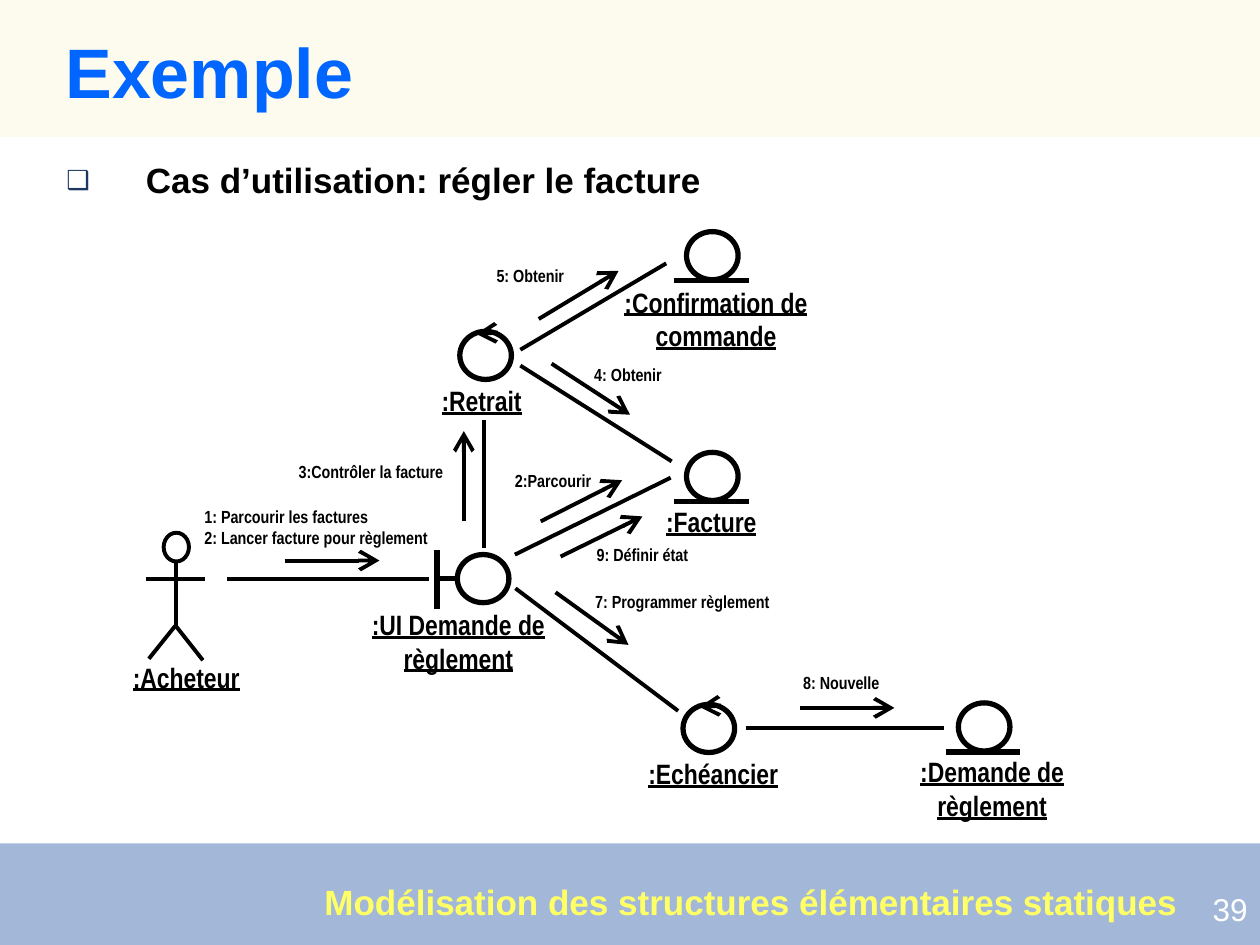
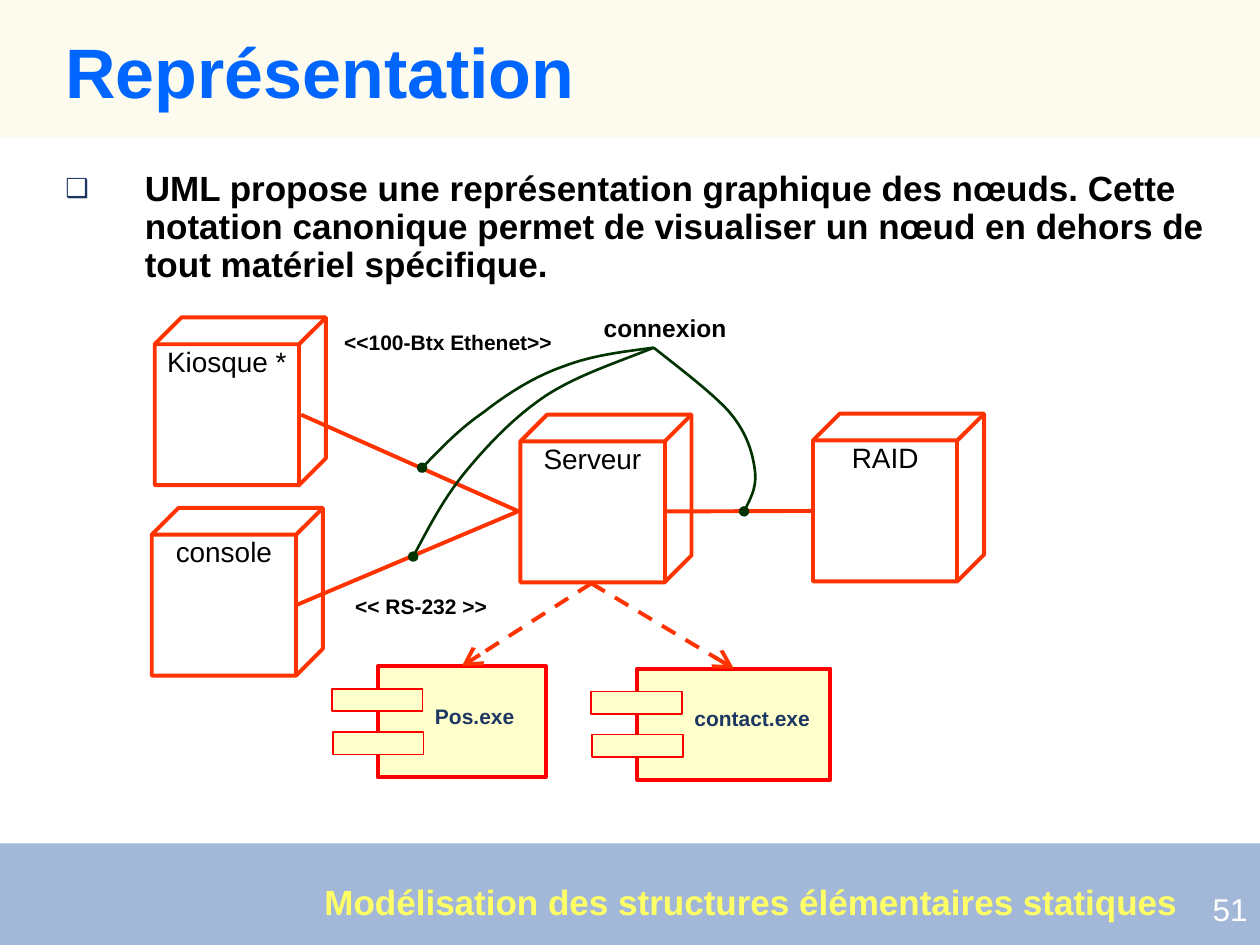
"""Build two UML lecture slides: a collaboration diagram and a deployment diagram."""
from dataclasses import dataclass
from typing import NamedTuple

from lxml.etree import SubElement
from pptx import Presentation
from pptx.dml.color import RGBColor
from pptx.enum.dml import MSO_LINE
from pptx.enum.shapes import MSO_CONNECTOR, MSO_SHAPE
from pptx.enum.text import MSO_ANCHOR, PP_ALIGN
from pptx.oxml.ns import qn
from pptx.util import Cm, Pt


@dataclass(frozen=True)
class Theme:
    title: str = "0066FF"
    ink: str = "000000"
    white: str = "FFFFFF"
    navy: str = "1C3862"
    header_band: str = "FAF8D8"
    footer_band: str = "3363A9"
    footer_text: str = "FFFF66"
    node: str = "FF3300"
    curve: str = "003300"
    component_fill: str = "FFFFCC"
    component_line: str = "FF0000"
    band_opacity: int = 45
    font: str = "Arial"
    narrow: str = "Arial Narrow"
    title_size: float = 40
    body_size: float = 20
    number_size: float = 18
    node_size: float = 16
    callout_size: float = 14
    small_size: float = 12
    message_size: float = 10
    thick: float = 3
    medium: float = 2.25
    fine: float = 1.5
    thin: float = 1
    hairline: float = 0.75


THEME = Theme()


class Area(NamedTuple):
    left: float
    top: float
    width: float
    height: float


class Style(NamedTuple):
    size: float
    color: str = THEME.ink
    bold: bool = True
    font: str = THEME.font
    underline: bool = False


class Stroke(NamedTuple):
    x1: float
    y1: float
    x2: float
    y2: float
    width: float = THEME.medium
    arrow: bool = False


class Participant(NamedTuple):
    kind: str
    left: float
    top: float
    name: str
    label: Area


class Message(NamedTuple):
    text: str
    left: float
    top: float
    width: float


PADDED = (0.25, 0.13)
FLUSH = (0, 0)
NODE_NAME = Style(THEME.node_size, font=THEME.narrow, underline=True)
MESSAGE = Style(THEME.message_size, font=THEME.narrow)

ICON_STROKES = {
    "entity": [Stroke(-0.25, 0.99, 1.25, 0.99, THEME.thick)],
    "control": [Stroke(0.69, 0.03, 0.33, 0.05, arrow=True)],
    "boundary": [Stroke(-0.41, 1.09, -0.41, -0.1, THEME.thick),
                 Stroke(0, 0.48, -0.4, 0.48, THEME.thick)],
}
PARTICIPANTS = [
    Participant("boundary", 9.22, 11.18, ":UI Demande de règlement", Area(7.12, 12.12, 4.24, 1.63)),
    Participant("control", 9.27, 6.68, ":Retrait", Area(8.21, 7.61, 3, 0.94)),
    Participant("entity", 13.84, 9.12, ":Facture", Area(12.84, 10.04, 3, 0.94)),
    Participant("entity", 13.84, 4.67, ":Confirmation de commande", Area(12.29, 5.62, 4.29, 1.63)),
    Participant("control", 13.77, 14.2, ":Echéancier", Area(12.73, 15.12, 3.3, 0.94)),
    Participant("entity", 19.32, 14.17, ":Demande de règlement", Area(18.26, 15.09, 3.48, 1.63)),
]
ACTOR_LIMBS = [
    Stroke(3.55, 11.33, 3.55, 12.65), Stroke(2.95, 11.68, 4.14, 11.68),
    Stroke(3.53, 12.62, 3, 13.28), Stroke(4.09, 13.31, 3.53, 12.6),
]
LINKS = [
    Stroke(8.64, 11.68, 4.57, 11.68), Stroke(9.75, 11.05, 9.75, 8.46),
    Stroke(13.54, 9.3, 10.49, 7.37), Stroke(13.43, 5.31, 10.49, 7.05),
    Stroke(13.67, 14.33, 10.39, 11.86), Stroke(19.02, 14.67, 15.04, 14.67),
    Stroke(13.52, 9.63, 10.38, 11.18),
]
MESSAGE_ARROWS = [
    Stroke(5.74, 11.3, 7.65, 11.3), Stroke(9.35, 10.51, 9.35, 8.69),
    Stroke(16.13, 14.27, 18.03, 14.27), Stroke(11.2, 11.94, 12.67, 13),
    Stroke(11.3, 11.22, 12.95, 10.41), Stroke(10.86, 6.43, 12.47, 5.46),
    Stroke(11.12, 7.33, 12.7, 8.36), Stroke(10.9, 10.51, 12.54, 9.68),
]
MESSAGES = [
    Message("1: Parcourir les factures\n2: Lancer facture pour règlement", 3.87, 10.07, 5.05),
    Message("3:Contrôler la facture", 5.77, 9.17, 3.45),
    Message("2:Parcourir", 10.13, 9.34, 2.18),
    Message("4: Obtenir", 11.73, 7.21, 2.18),
    Message("9: Définir état", 11.78, 10.83, 2.46),
    Message("7: Programmer règlement", 11.75, 11.79, 4.27),
    Message("8: Nouvelle", 15.94, 13.41, 2.46),
    Message("5: Obtenir", 9.76, 5.21, 2.18),
]

CUBES = {"Kiosque *": (3.12, 6.4), "console": (3.06, 10.24),
         "Serveur": (10.49, 8.36), "RAID": (16.39, 8.34)}
CONNECTIONS = [
    Stroke(6.07, 8.36, 10.46, 10.31),
    Stroke(5.99, 12.19, 10.44, 10.31),
    Stroke(13.44, 10.31, 16.36, 10.3),
]
CURVE_END = (13.18, 7.01)
CURVES = [
    [(8.33, 11.22), (8.64, 10.64), (8.94, 10.06), (9.37, 9.53), (9.83, 8.97),
     (10.36, 8.41), (11, 7.98), (11.63, 7.57), (12.4, 7.32), CURVE_END],
    [(8.51, 9.43), (8.89, 9.04), (9.27, 8.64), (9.75, 8.31), (10.21, 7.95),
     (10.77, 7.59), (11.35, 7.39), (11.94, 7.16), (12.57, 7.09), CURVE_END],
    [(15, 10.31), (15.14, 10.03), (15.27, 9.78), (15.21, 9.42), (15.16, 9.09),
     (15.04, 8.69), (14.68, 8.28), (14.33, 7.9), (13.72, 7.44), CURVE_END],
]
SERVER_BASE = (11.92, 11.76)
COMPONENTS = {"contact.exe": Area(12.85, 13.48, 3.89, 2.24),
              "Pos.exe": Area(7.62, 13.43, 3.38, 2.24)}


def lengths(area: Area) -> list:
    return [Cm(value) for value in area]


def write(frame, text: str, style: Style, align=PP_ALIGN.LEFT, inset=PADDED, wrap=True):
    """Fill a text frame and return its paragraph."""
    frame.word_wrap = wrap
    frame.vertical_anchor = MSO_ANCHOR.TOP
    frame.margin_left = frame.margin_right = Cm(inset[0])
    frame.margin_top = frame.margin_bottom = Cm(inset[1])
    para = frame.paragraphs[0]
    para.alignment = align
    for index, line in enumerate(text.split("\n")):
        if index:
            para.add_line_break()
        span = para.add_run()
        span.text = line
        span.font.name = style.font
        span.font.size = Pt(style.size)
        span.font.bold = style.bold
        span.font.underline = style.underline
        span.font.color.rgb = RGBColor.from_string(style.color)
    return para


def add_text(page, area: Area, text: str, style: Style, **options):
    box = page.shapes.add_textbox(*lengths(area))
    return write(box.text_frame, text, style, **options)


def paint(shape, fill=None, line=None, width: float = THEME.medium) -> None:
    shape.shadow.inherit = False
    if fill:
        shape.fill.solid()
        shape.fill.fore_color.rgb = RGBColor.from_string(fill)
    else:
        shape.fill.background()
    if line:
        shape.line.color.rgb = RGBColor.from_string(line)
        shape.line.width = Pt(width)
    else:
        shape.line.fill.background()


def add_shape(page, kind, area: Area, fill=None, line=None, width: float = THEME.medium):
    shape = page.shapes.add_shape(kind, *lengths(area))
    paint(shape, fill, line, width)
    return shape


def add_line_end(shape, end: str, kind: str, size: str) -> None:
    outline = shape.element.spPr.find(qn("a:ln"))
    SubElement(outline, qn(f"a:{end}"), type=kind, w=size, len=size)


def add_stroke(page, stroke: Stroke, color: str = THEME.ink, dash=None):
    ends = [Cm(value) for value in stroke[:4]]
    connector = page.shapes.add_connector(MSO_CONNECTOR.STRAIGHT, *ends)
    connector.line.color.rgb = RGBColor.from_string(color)
    connector.line.width = Pt(stroke.width)
    if dash:
        connector.line.dash_style = dash
    if stroke.arrow:
        add_line_end(connector, "tailEnd", "arrow", "lg")
    SubElement(connector.element.spPr, qn("a:effectLst"))
    return connector


def add_veil(page, area: Area, color: str, opacity: int, line=None) -> None:
    """Add a translucent rectangle."""
    veil = add_shape(page, MSO_SHAPE.RECTANGLE, area, color, line, THEME.hairline)
    tint = veil.element.spPr.find(f"{qn('a:solidFill')}/{qn('a:srgbClr')}")
    SubElement(tint, qn("a:alpha"), val=str(opacity * 1000))


def add_page(deck, title: str, body: str, body_area: Area, number: str):
    """Add a page with the shared bands, title, bullet and footer."""
    page = deck.slides.add_slide(deck.slide_layouts[6])
    add_veil(page, Area(0, 0, 25.4, 2.76), THEME.header_band, THEME.band_opacity)
    add_veil(page, Area(0, 17, 25.4, 2.05), THEME.footer_band, THEME.band_opacity)
    add_text(page, Area(22.91, 17.82, 2.49, 1.02), number,
             Style(THEME.number_size, THEME.white, False), align=PP_ALIGN.RIGHT)
    heading = add_text(page, Area(1.07, 0.64, 23.8, 1.78), title,
                       Style(THEME.title_size, THEME.title))
    para = add_text(page, body_area, body, Style(THEME.body_size))
    heading.line_spacing = para.line_spacing = 0.9
    props = para._p.get_or_add_pPr()
    props.set("marL", str(Cm(1.6)))
    props.set("indent", str(-Cm(1.6)))
    SubElement(SubElement(props, qn("a:buClr")), qn("a:srgbClr"), val=THEME.navy)
    SubElement(props, qn("a:buSzPct"), val="75000")
    SubElement(props, qn("a:buFont"), typeface=THEME.font)
    SubElement(props, qn("a:buChar"), char="❑")
    add_text(page, Area(6.54, 17.76, 17.22, 0.84),
             "Modélisation des structures élémentaires statiques",
             Style(THEME.body_size, THEME.footer_text), inset=FLUSH, wrap=False)
    return page


def add_participant(page, item: Participant) -> None:
    add_shape(page, MSO_SHAPE.OVAL, Area(item.left, item.top, 1.04, 0.97),
              THEME.white, THEME.ink, THEME.thick)
    for part in ICON_STROKES[item.kind]:
        add_stroke(page, part._replace(x1=item.left + part.x1, y1=item.top + part.y1,
                                       x2=item.left + part.x2, y2=item.top + part.y2))
    add_text(page, item.label, item.name, NODE_NAME, align=PP_ALIGN.CENTER)


def add_curve(page, points: list) -> None:
    """Draw chained cubic curves with a dot at the start."""
    start, *controls = [(Cm(x), Cm(y)) for x, y in points]
    builder = page.shapes.build_freeform(*start)
    builder.add_line_segments(controls, close=False)
    curve = builder.convert_to_shape()
    outline = curve.element.find(f".//{qn('a:path')}")
    segments = outline.findall(qn("a:lnTo"))
    for index, segment in enumerate(segments):
        if index % 3 == 0:
            cubic = SubElement(outline, qn("a:cubicBezTo"))
        cubic.append(segment[0])
        outline.remove(segment)
    paint(curve, line=THEME.curve, width=THEME.fine)
    add_line_end(curve, "headEnd", "oval", "med")


def add_component(page, name: str, area: Area) -> None:
    left, top, width, _ = area
    colors = (THEME.component_fill, THEME.component_line)
    body = add_shape(page, MSO_SHAPE.RECTANGLE, area, *colors)
    for dx, dy in ((-0.93, 0.46), (-0.91, 1.33)):
        add_shape(page, MSO_SHAPE.RECTANGLE, Area(left + dx, top + dy, 1.83, 0.45),
                  *colors, THEME.thin)
    add_text(page, Area(left + 0.9, top + 0.62, width - 0.75, 0.76), name,
             Style(THEME.small_size, THEME.navy))
    arrow = add_stroke(page, Stroke(*SERVER_BASE, left + width / 2, top, arrow=True),
                       THEME.node, MSO_LINE.DASH)
    arrow.end_connect(body, 0)


def build_collaboration(deck) -> None:
    page = add_page(deck, "Exemple", "Cas d’utilisation: régler le facture",
                    Area(1.09, 3.17, 23.29, 1.02), "39")
    add_veil(page, Area(2.46, 4.27, 19.43, 12.45), THEME.white, 49, THEME.white)
    for item in PARTICIPANTS:
        add_participant(page, item)
    add_shape(page, MSO_SHAPE.OVAL, Area(3.3, 10.74, 0.51, 0.58), line=THEME.ink)
    add_text(page, Area(2.28, 13.18, 2.95, 0.94), ":Acheteur", NODE_NAME, align=PP_ALIGN.CENTER)
    for stroke in ACTOR_LIMBS + LINKS:
        add_stroke(page, stroke)
    for stroke in MESSAGE_ARROWS:
        add_stroke(page, stroke._replace(arrow=True))
    for text, left, top, width in MESSAGES:
        add_text(page, Area(left, top, width, 0.69), text, MESSAGE)


def build_deployment(deck) -> None:
    page = add_page(deck, "Représentation",
                    "UML propose une représentation graphique des nœuds. Cette notation canonique "
                    "permet de visualiser un nœud en dehors de tout matériel spécifique.",
                    Area(1.07, 3.33, 23.83, 2.54), "51")
    add_veil(page, Area(2.57, 6.05, 18.01, 10.29), THEME.white, 40)
    for name, (left, top) in CUBES.items():
        cube = add_shape(page, MSO_SHAPE.CUBE, Area(left, top, 3.45, 3.38), line=THEME.node)
        cube.adjustments[0] = 0.16
        write(cube.text_frame, name, Style(THEME.node_size, bold=False),
              align=PP_ALIGN.CENTER, inset=FLUSH, wrap=False)
    for stroke in CONNECTIONS:
        add_stroke(page, stroke, THEME.node)
    for text, area, size in (
            ("<<100-Btx Ethenet>>", Area(6.94, 6.65, 4.19, 0.51), THEME.small_size),
            ("<< RS-232 >>", Area(7.16, 11.96, 2.67, 0.51), THEME.small_size),
            ("connexion", Area(12.17, 6.31, 2.97, 0.58), THEME.callout_size)):
        add_text(page, area, text, Style(size), inset=FLUSH, wrap=False)
    for points in CURVES:
        add_curve(page, points)
    for name, area in COMPONENTS.items():
        add_component(page, name, area)


def main() -> None:
    deck = Presentation()
    deck.slide_width, deck.slide_height = Cm(25.4), Cm(19.05)
    build_collaboration(deck)
    build_deployment(deck)
    deck.save("out.pptx")


if __name__ == "__main__":
    main()
